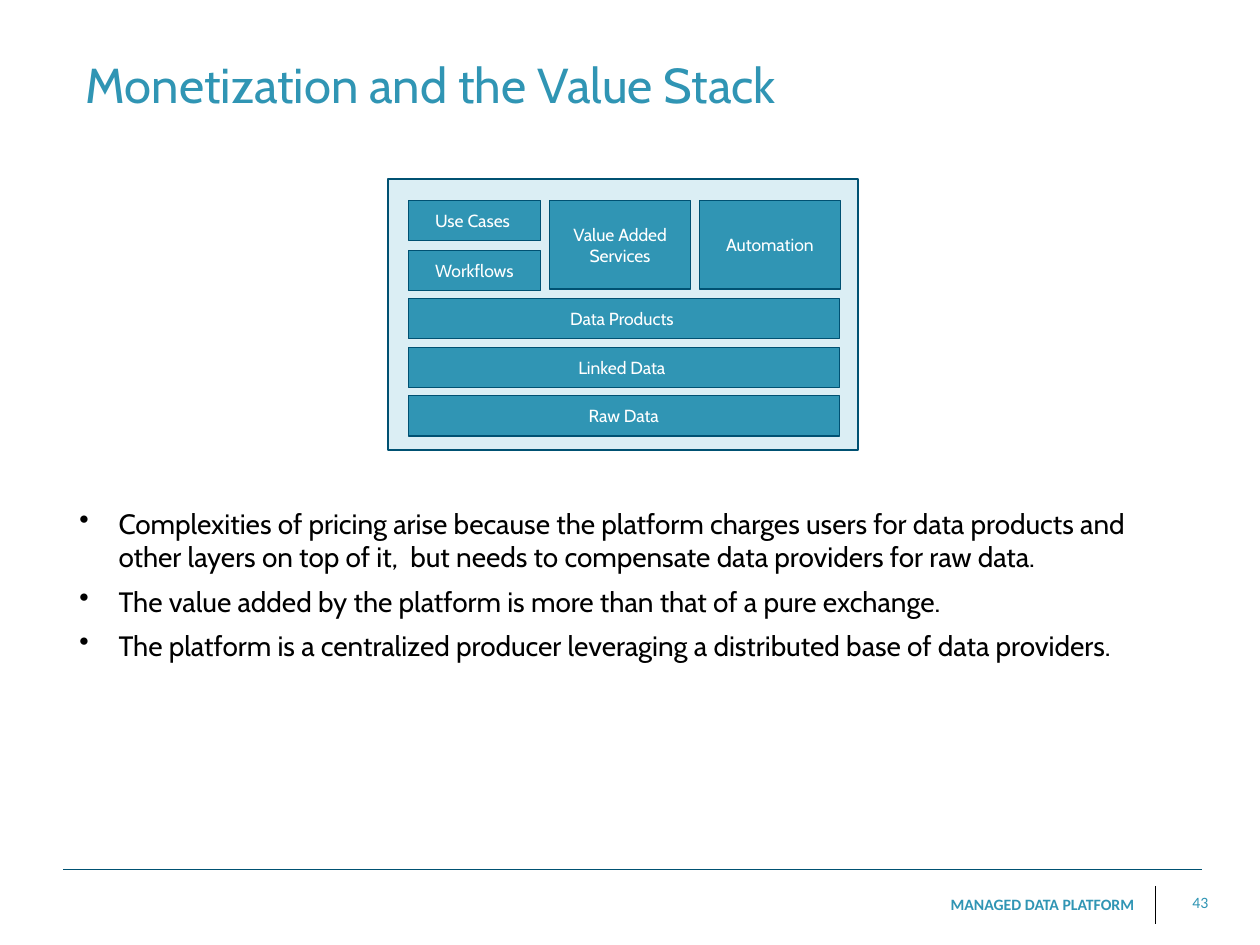
import pptx
import pptx.dml.color
import pptx.enum.shapes
import pptx.enum.text
import pptx.oxml
import pptx.util
from pptx.util import Cm

TEAL, NAVY, PALE = "3095B4", "005172", "DBEEF4"
WHITE, BLACK = "FFFFFF", "000000"
ALIGN = pptx.enum.text.PP_ALIGN
ANCHOR = pptx.enum.text.MSO_ANCHOR


def color(hex_value):
    return pptx.dml.color.RGBColor.from_string(hex_value)


def write(tf, lines, size=10, font="Cabin", fill=WHITE, bold=False,
          align=ALIGN.LEFT, anchor=ANCHOR.TOP, before=0, bullet=False, wrap=True):
    """Fill a text frame with one paragraph per line."""
    tf.word_wrap = wrap
    tf.vertical_anchor = anchor
    tf.margin_left = tf.margin_right = tf.margin_top = tf.margin_bottom = Cm(0.13)
    for i, line in enumerate(lines):
        p = tf.paragraphs[0] if i == 0 else tf.add_paragraph()
        p.alignment = align
        p.space_before = pptx.util.Pt(before)
        r = p.add_run()
        r.text = line
        r.font.size = pptx.util.Pt(size)
        r.font.name = font
        r.font.bold = bold
        r.font.color.rgb = color(fill)
        if bullet:
            add_bullet(p)


def add_bullet(p):
    pPr = p._p.get_or_add_pPr()
    pPr.set("marL", str(Cm(0.79)))
    pPr.set("indent", str(-Cm(0.79)))
    bu = pptx.oxml.parse_xml(
        '<a:buChar xmlns:a="http://schemas.openxmlformats.org/drawingml/2006/main"'
        ' char="•"/>')
    pPr.append(bu)


def add_text(s, x, y, w, h, lines, **fmt):
    sp = s.shapes.add_textbox(Cm(x), Cm(y), Cm(w), Cm(h))
    write(sp.text_frame, lines, **fmt)


def add_box(s, x, y, w, h, label=None, fill=TEAL, weight=0.75):
    sp = s.shapes.add_shape(pptx.enum.shapes.MSO_SHAPE.RECTANGLE,
                            Cm(x), Cm(y), Cm(w), Cm(h))
    sp.shadow.inherit = False
    sp.fill.solid()
    sp.fill.fore_color.rgb = color(fill)
    sp.line.color.rgb = color(NAVY)
    sp.line.width = pptx.util.Pt(weight)
    if label:
        write(sp.text_frame, [label], align=ALIGN.CENTER, anchor=ANCHOR.MIDDLE)


def add_line(s, x1, y1, x2, y2, stroke):
    cn = s.shapes.add_connector(pptx.enum.shapes.MSO_CONNECTOR.STRAIGHT,
                                Cm(x1), Cm(y1), Cm(x2), Cm(y2))
    cn.line.color.rgb = color(stroke)
    cn.line.width = pptx.util.Pt(0.5)
    cn._element.spPr.append(pptx.oxml.parse_xml(
        '<a:effectLst xmlns:a="http://schemas.openxmlformats.org/drawingml/2006/main"/>'))


def add_value_stack(s):
    left, top, row_h, pitch = 8.23, 4.04, 0.81, 0.98
    add_box(s, 7.83, 3.61, 9.47, 5.46, fill=PALE, weight=1)
    # Upper layers: two short blocks, then two tall ones
    for i, label in enumerate(["Use Cases ", "Workflows"]):
        add_box(s, left, top + i * 1.01, 2.67, row_h, label)
    for i, label in enumerate(["Value Added Services", "Automation"]):
        add_box(s, 11.08 + i * 3.02, top, 2.84, 1.79, label)
    # Full-width data layers
    for i, label in enumerate(["Data Products ", "Linked Data ", "Raw Data"]):
        add_box(s, left, 6.02 + i * pitch, 8.69, row_h, label)


def add_footer(s):
    add_line(s, 1.27, 17.53, 24.23, 17.53, NAVY)
    add_line(s, 23.29, 17.86, 23.29, 18.62, BLACK)
    add_text(s, 15.37, 17.91, 7.62, 0.64, ["MANAGED DATA PLATFORM"], size=9,
             font="Calibri", fill=TEAL, bold=True, align=ALIGN.RIGHT)
    add_text(s, 23.85, 17.86, 0.64, 0.64, ["43"], size=9, font="Calibri",
             fill=TEAL, align=ALIGN.RIGHT, wrap=False)


def main():
    prs = pptx.Presentation()
    prs.slide_width, prs.slide_height = Cm(25.4), Cm(19.05)
    s = prs.slides.add_slide(prs.slide_layouts[6])

    add_footer(s)
    add_text(s, 1.6, 0.33, 22.89, 2.74, ["Monetization and the Value Stack"],
             size=28, fill=TEAL, anchor=ANCHOR.MIDDLE, before=6)
    add_value_stack(s)
    add_text(s, 1.47, 10.08, 22.58, 3.35, [
        "Complexities of pricing arise because the platform charges users for data "
        "products and other layers on top of it,  but needs to compensate data "
        "providers for raw data.",
        "The value added by the platform is more than that of a pure exchange.",
        "The platform is a centralized producer leveraging a distributed base of "
        "data providers.",
    ], size=16, fill=BLACK, before=6, bullet=True)

    prs.save("out.pptx")


if __name__ == "__main__":
    main()
